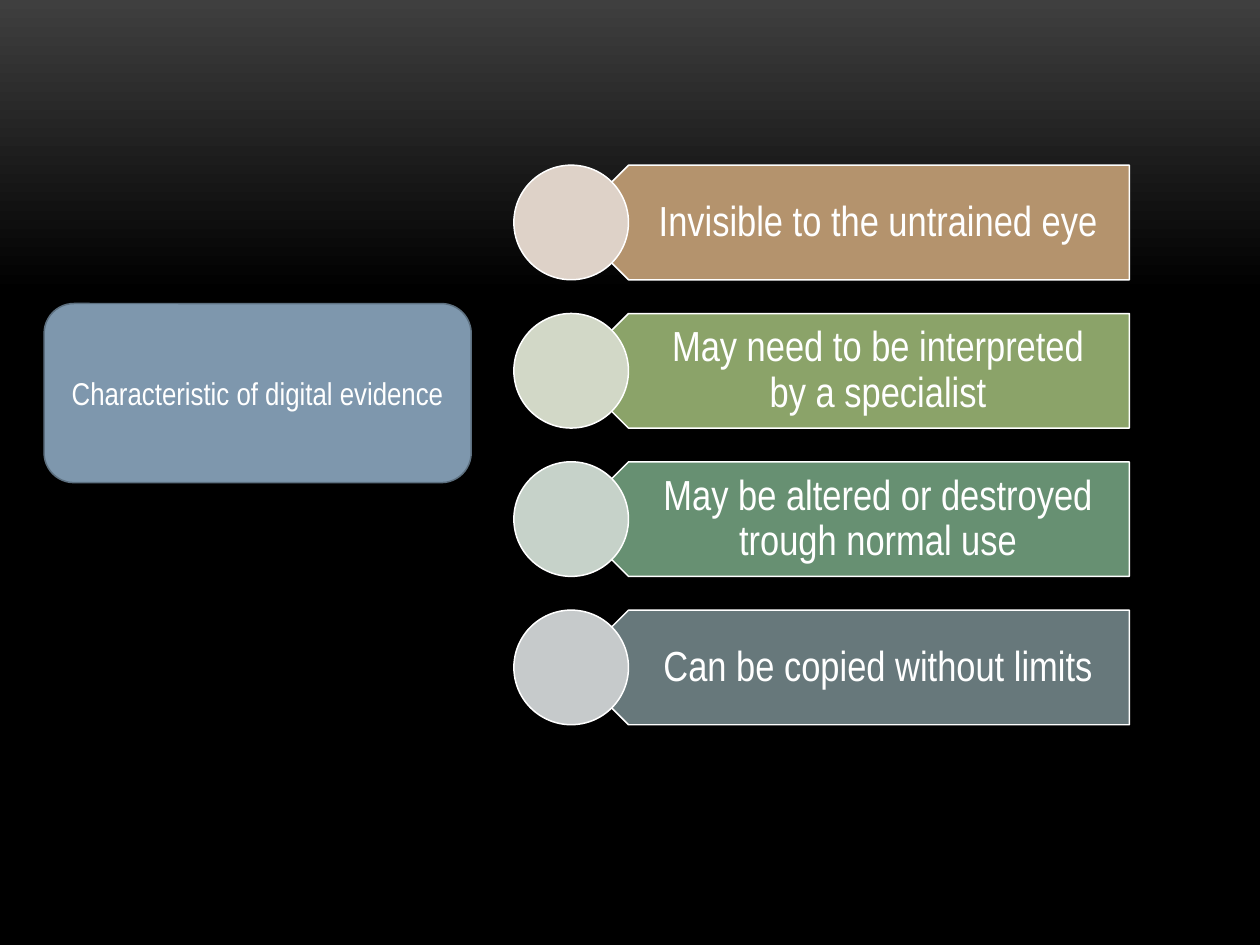
import pptx
import pptx.util
import pptx.dml.color
import pptx.enum.shapes
import pptx.enum.text
from dataclasses import dataclass

Cm = pptx.util.Cm
Pt = pptx.util.Pt
RGB = pptx.dml.color.RGBColor.from_string
SHAPE = pptx.enum.shapes.MSO_SHAPE


@dataclass(frozen=True)
class Theme:
    font: str = "Arial Narrow"
    text: str = "FFFFFF"
    outline: str = "FFFFFF"
    bg_top: str = "3F3F3F"
    bg_base: str = "000000"
    topic: str = "7E97AD"
    topic_line: str = "5D7080"
    bars: tuple = ("B4936D", "8BA369", "679072", "67787B")
    circles: tuple = ("DED2C8", "D2D8C7", "C6D2C9", "C6CACB")
    topic_size: int = 18
    bar_size: int = 24
    line_width: float = 0.85


theme = Theme()


def add_box(shapes, kind, left, top, width, height, fill, line):
    sp = shapes.add_shape(kind, Cm(left), Cm(top), Cm(width), Cm(height))
    sp.shadow.inherit = False
    sp.fill.solid()
    sp.fill.fore_color.rgb = RGB(fill)
    sp.line.color.rgb = RGB(line)
    sp.line.width = Pt(theme.line_width)
    return sp


def write_text(sp, text, size):
    tf = sp.text_frame
    tf.word_wrap = True
    tf.vertical_anchor = pptx.enum.text.MSO_ANCHOR.MIDDLE
    p = tf.paragraphs[0]
    p.alignment = pptx.enum.text.PP_ALIGN.CENTER
    r = p.add_run()
    r.text = text
    r.font.name = theme.font
    r.font.size = Pt(size)
    r.font.color.rgb = RGB(theme.text)
    return tf


prs = pptx.Presentation()
prs.slide_width = Cm(25.4)
prs.slide_height = Cm(19.05)
s = prs.slides.add_slide(prs.slide_layouts[6])

bg = s.background.fill
bg.gradient()
bg.gradient_angle = 270
for stop, color, position in zip(bg.gradient_stops, (theme.bg_top, theme.bg_base), (0, 0.31)):
    stop.color.rgb = RGB(color)
    stop.position = position

traits = (
    "Invisible to the untrained eye",
    "May need to be interpreted by a specialist",
    "May be altered or destroyed trough normal use",
    "Can be copied without limits",
)
first_top, step, height = 3.33, 2.99, 2.31
circle_left = 10.36
bar_left, bar_width = circle_left + height / 2, 11.25
text_left = 12.09
text_width = bar_left + bar_width - text_left

grp = s.shapes.add_group_shape()
for i, (trait, bar, circle) in enumerate(zip(traits, theme.bars, theme.circles)):
    top = first_top + i * step
    sp = add_box(grp.shapes, SHAPE.PENTAGON, bar_left, top, bar_width, height, bar, theme.outline)
    sp.rotation = 180
    sp = grp.shapes.add_textbox(Cm(text_left), Cm(top), Cm(text_width), Cm(height))
    tf = write_text(sp, trait, theme.bar_size)
    tf.margin_left, tf.margin_right = Cm(1.02), Cm(0.48)
    tf.margin_top = tf.margin_bottom = Cm(0.25)
    tf.paragraphs[0].line_spacing = 0.9
    add_box(grp.shapes, SHAPE.OVAL, circle_left, top, height, height, circle, theme.outline)

sp = add_box(s.shapes, SHAPE.ROUNDED_RECTANGLE, 0.89, 6.12, 8.61, 3.61, theme.topic, theme.topic_line)
write_text(sp, "Characteristic of digital evidence", theme.topic_size)

prs.save("out.pptx")
